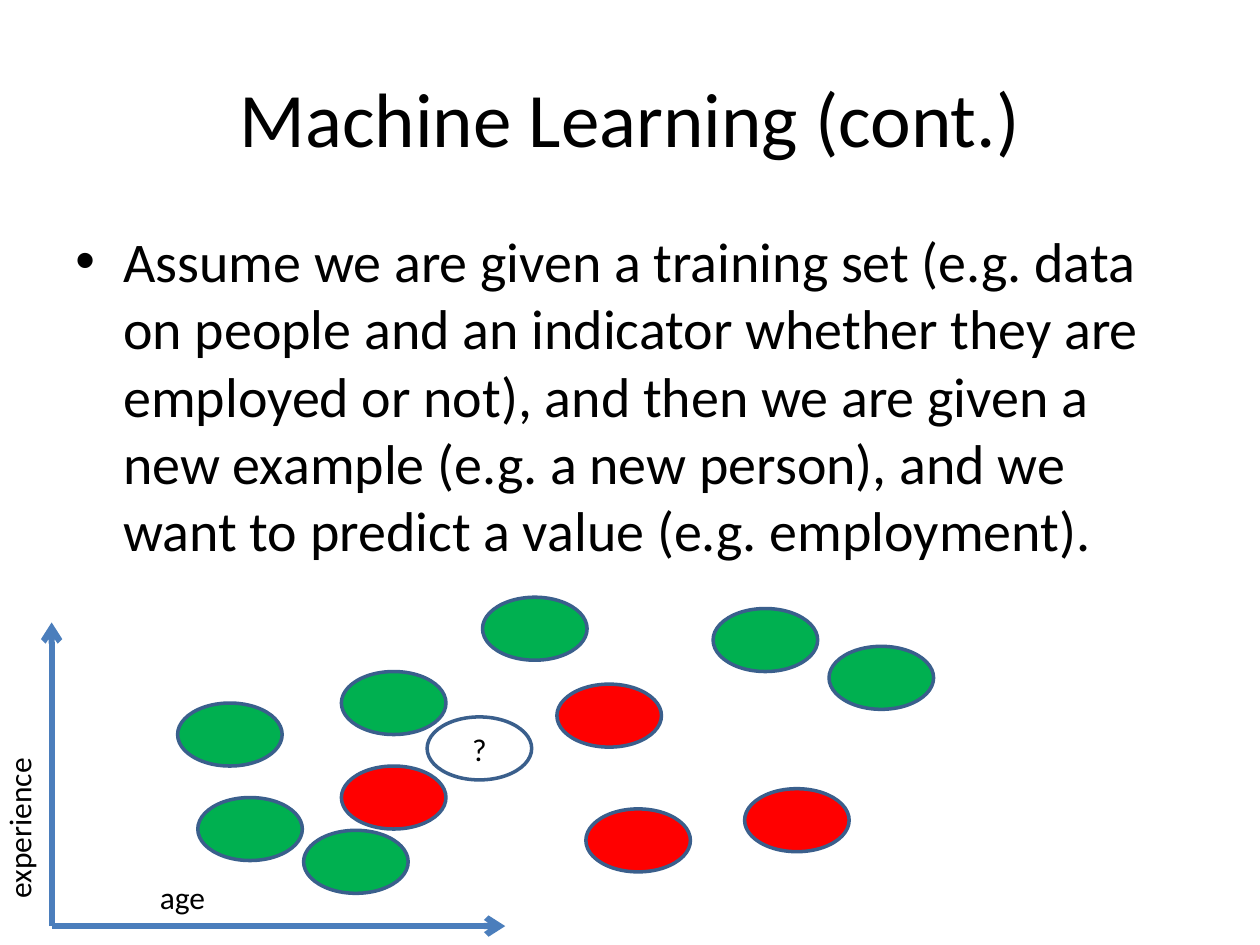
from dataclasses import dataclass
from typing import Optional

from lxml.etree import SubElement
from pptx import Presentation
from pptx.dml.color import RGBColor
from pptx.enum.shapes import MSO_CONNECTOR, MSO_SHAPE
from pptx.enum.text import MSO_ANCHOR, PP_ALIGN
from pptx.oxml.ns import qn
from pptx.util import Emu, Pt

PX = 9144
OVAL_W, OVAL_H = 83, 50
ORIGIN = (41, 735)


@dataclass(frozen=True)
class Theme:
    font: str = "Calibri"
    text: str = "000000"
    employed: str = "00B050"
    unemployed: str = "FF0000"
    outline: str = "3A5F8C"
    axis: str = "4B7EBC"
    title_pt: int = 44
    body_pt: int = 32
    label_pt: int = 18


THEME = Theme()


@dataclass(frozen=True)
class Label:
    text: str
    x: int
    y: int
    w: int
    h: int
    size: int = THEME.label_pt
    align: PP_ALIGN = PP_ALIGN.LEFT
    anchor: MSO_ANCHOR = MSO_ANCHOR.TOP
    rotation: int = 0
    bullet: bool = False


@dataclass(frozen=True)
class Person:
    x: int
    y: int
    color: Optional[str] = None
    text: str = ""


LABELS = [
    Label("Machine Learning (cont.)", 50, 30, 900, 125, THEME.title_pt,
          PP_ALIGN.CENTER, MSO_ANCHOR.MIDDLE),
    Label("Assume we are given a training set (e.g. data on people and an "
          "indicator whether they are employed or not), and then we are given "
          "a new example (e.g. a new person), and we want to predict a value "
          "(e.g. employment).", 50, 175, 900, 317, THEME.body_pt, bullet=True),
    Label("age", 117, 692, 152, 61),
    Label("experience", -67, 569, 216, 92, rotation=270),
]
EMPLOYED = [(141, 558), (157, 633), (241, 659), (271, 533),
            (383, 474), (566, 483), (658, 513)]
UNEMPLOYED = [(271, 608), (442, 543), (465, 642), (591, 626)]
PEOPLE = [
    *(Person(x, y, THEME.employed) for x, y in EMPLOYED),
    *(Person(x, y, THEME.unemployed) for x, y in UNEMPLOYED),
    Person(339, 569, text="?"),
]
AXIS_ENDS = [(401, 735), (41, 494)]


def px(*values: int) -> list[Emu]:
    return [Emu(v * PX) for v in values]


def apply(target, formats: dict) -> None:
    for name, value in formats.items():
        setattr(target, name, value)


def write(tf, text: str, size: int, align: PP_ALIGN, anchor: MSO_ANCHOR):
    apply(tf, {"word_wrap": True, "vertical_anchor": anchor})
    p = tf.paragraphs[0]
    p.alignment = align
    r = p.add_run()
    r.text = text
    apply(r.font, {"name": THEME.font, "size": Pt(size)})
    r.font.color.rgb = RGBColor.from_string(THEME.text)
    return p


def add_bullet(p) -> None:
    p.space_before = Pt(2)
    pPr = p._p.get_or_add_pPr()
    pPr.set("marL", str(38 * PX))
    pPr.set("indent", str(-38 * PX))
    SubElement(pPr, qn("a:buFont")).set("typeface", "Arial")
    SubElement(pPr, qn("a:buChar")).set("char", "•")


def draw_label(s, label: Label) -> None:
    sp = s.shapes.add_textbox(*px(label.x, label.y, label.w, label.h))
    sp.rotation = label.rotation
    p = write(sp.text_frame, label.text, label.size, label.align, label.anchor)
    if label.bullet:
        add_bullet(p)


def draw_person(s, person: Person) -> None:
    sp = s.shapes.add_shape(MSO_SHAPE.OVAL,
                            *px(person.x, person.y, OVAL_W, OVAL_H))
    sp.shadow.inherit = False
    sp.line.color.rgb = RGBColor.from_string(THEME.outline)
    sp.line.width = Pt(2)
    if person.color:
        sp.fill.solid()
        sp.fill.fore_color.rgb = RGBColor.from_string(person.color)
    else:
        sp.fill.background()
    if person.text:
        write(sp.text_frame, person.text, THEME.label_pt,
              PP_ALIGN.CENTER, MSO_ANCHOR.MIDDLE)


def draw_axis(s, end: tuple[int, int]) -> None:
    cxn = s.shapes.add_connector(MSO_CONNECTOR.STRAIGHT, *px(*ORIGIN, *end))
    cxn.line.color.rgb = RGBColor.from_string(THEME.axis)
    cxn.line.width = Pt(3.5)
    SubElement(cxn.line._get_or_add_ln(), qn("a:tailEnd")).set("type", "arrow")
    SubElement(cxn._element.spPr, qn("a:effectLst"))


def main() -> None:
    prs = Presentation()
    prs.slide_width, prs.slide_height = px(1000, 750)
    s = prs.slides.add_slide(prs.slide_layouts[6])
    for label in LABELS:
        draw_label(s, label)
    for end in AXIS_ENDS:
        draw_axis(s, end)
    for person in PEOPLE:
        draw_person(s, person)
    prs.save("out.pptx")


if __name__ == "__main__":
    main()
